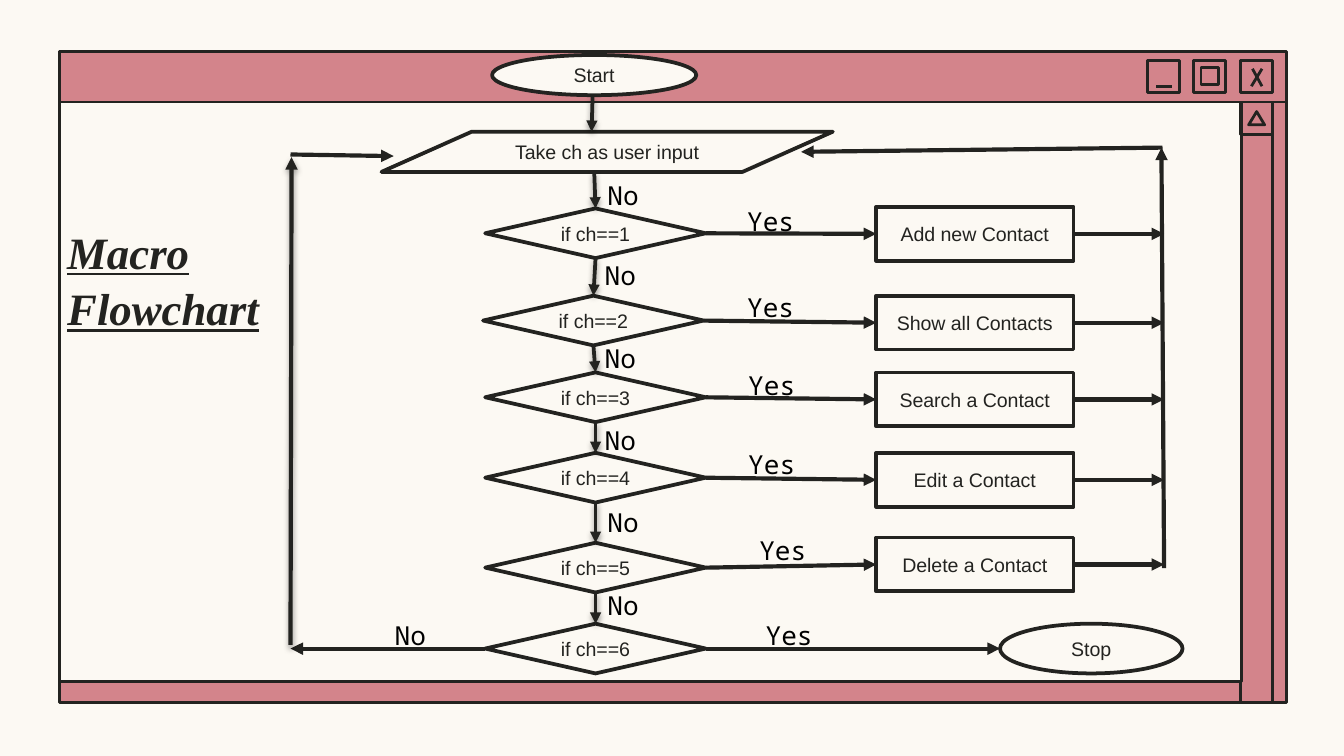
from lxml import etree
from pptx import Presentation
from pptx.dml.color import RGBColor
from pptx.enum.shapes import MSO_CONNECTOR, MSO_SHAPE
from pptx.enum.text import MSO_ANCHOR, MSO_AUTO_SIZE, PP_ALIGN
from pptx.oxml.ns import qn
from pptx.util import Cm, Pt

COLORS = {"paper": "FCF9F3", "rose": "D3848B", "ink": "232320", "black": "000000"}
TOP, LEFT, BOTTOM, RIGHT = range(4)


def color(name):
    return RGBColor.from_string(COLORS[name])


class FlowchartSlide:
    """Holds the current slide and draws its elements, with lengths in cm."""

    def __init__(self, slide):
        self.slide = slide
        self.shapes = slide.shapes
        slide.background.fill.solid()
        slide.background.fill.fore_color.rgb = color("paper")

    def styled_run(self, paragraph, text, size, font, ink="ink"):
        run = paragraph.add_run()
        run.text = text
        run.font.size = Pt(size)
        run.font.name = font
        run.font.color.rgb = color(ink)
        return run

    def box(self, preset, x, y, w, h, fill=None, line=1.5):
        shape = self.shapes.add_shape(preset, Cm(x), Cm(y), Cm(w), Cm(h))
        shape.shadow.inherit = False
        if fill:
            shape.fill.solid()
            shape.fill.fore_color.rgb = color(fill)
        else:
            shape.fill.background()
        shape.line.color.rgb = color("ink")
        shape.line.width = Pt(line)
        return shape

    def step(self, preset, x, y, w, h, text):
        shape = self.box(preset, x, y, w, h, "paper", 2)
        paragraph = shape.text_frame.paragraphs[0]
        paragraph.alignment = PP_ALIGN.CENTER
        self.styled_run(paragraph, text, 10.5, "Arial")
        return shape

    def line(self, start, end, width=2.25, arrow=True, shadow=False):
        """Each end is a point (x, y) or a joint (shape, side)."""
        joints = [not isinstance(place[0], (int, float)) for place in (start, end)]
        points = [
            (place[0].left, place[0].top) if joined else (Cm(place[0]), Cm(place[1]))
            for place, joined in zip((start, end), joints)
        ]
        connector = self.shapes.add_connector(MSO_CONNECTOR.STRAIGHT, *points[0], *points[1])
        if joints[0]:
            connector.begin_connect(*start)
        if joints[1]:
            connector.end_connect(*end)
        connector.line.color.rgb = color("ink")
        connector.line.width = Pt(width)
        if arrow:
            etree.SubElement(connector.get_or_add_ln(), qn("a:tailEnd"), type="triangle")
        effects = etree.SubElement(connector._element.spPr, qn("a:effectLst"))
        if shadow:
            outer = etree.SubElement(effects, qn("a:outerShdw"), blurRad="40000", dist="20000",
                                     dir="5400000", rotWithShape="0")
            black = etree.SubElement(outer, qn("a:srgbClr"), val=COLORS["black"])
            etree.SubElement(black, qn("a:alpha"), val="38000")

    def frame_text(self, shape):
        """Set up the text frame and return its first paragraph."""
        frame = shape.text_frame
        frame.word_wrap = True
        frame.vertical_anchor = MSO_ANCHOR.TOP
        frame.margin_left = frame.margin_right = Cm(0.25)
        frame.margin_top = frame.margin_bottom = Cm(0.25)
        frame.auto_size = MSO_AUTO_SIZE.SHAPE_TO_FIT_TEXT
        return frame.paragraphs[0]

    def label(self, text, x, y):
        answer = self.shapes.add_textbox(Cm(x), Cm(y), Cm(1.7), Cm(1.12))
        self.styled_run(self.frame_text(answer), text, 14, "Noto Sans Mono", "black")

    def title(self, text, x, y, w, h):
        heading = self.shapes.title
        heading.left, heading.top, heading.width, heading.height = map(Cm, (x, y, w, h))
        paragraph = self.frame_text(heading)
        paragraph.alignment = PP_ALIGN.LEFT
        paragraph.line_spacing = 1.05
        font = self.styled_run(paragraph, text, 24, "Times New Roman").font
        font.bold = font.italic = font.underline = True
        self.shapes._spTree.append(heading._element)  # bring in front of the window

    def window(self):
        bar = self.box(MSO_SHAPE.ROUND_2_SAME_RECTANGLE, 1.12, 0.97, 23.19, 0.97, "rose")
        bar.adjustments[0] = bar.adjustments[1] = 0
        self.box(MSO_SHAPE.RECTANGLE, 1.12, 1.93, 23.19, 11.35, "rose")
        self.box(MSO_SHAPE.RECTANGLE, 23.44, 2.54, 0.61, 10.74, "rose")
        self.box(MSO_SHAPE.RECTANGLE, 1.12, 1.93, 22.35, 10.95, "paper")
        for button in range(3):
            self.box(MSO_SHAPE.RECTANGLE, 23.44 - 0.88 * button, 1.14, 0.61, 0.61)
        self.box(MSO_SHAPE.RECTANGLE, 22.7, 1.27, 0.33, 0.33)
        for start, end in (
            ((23.67, 1.3), (23.85, 1.63)),
            ((23.85, 1.3), (23.65, 1.63)),
            ((22.15, 1.63), (21.84, 1.63)),
        ):
            self.line(start, end, 1.5, arrow=False)
        self.box(MSO_SHAPE.RECTANGLE, 23.44, 1.93, 0.61, 0.61)
        self.box(MSO_SHAPE.ISOSCELES_TRIANGLE, 23.6, 2.11, 0.3, 0.25)


def main():
    deck = Presentation()
    deck.slide_width, deck.slide_height = Cm(25.4), Cm(14.29)
    chart = FlowchartSlide(deck.slides.add_slide(deck.slide_layouts[5]))
    chart.window()

    chart.step(MSO_SHAPE.OVAL, 9.3, 1.04, 3.86, 0.76, "Start")
    chart.step(MSO_SHAPE.FLOWCHART_DATA, 7.21, 2.49, 8.53, 0.76, "Take ch as user input")
    decision_places = [(9.17, 3.94), (9.13, 5.59), (9.17, 7.04),
                       (9.17, 8.56), (9.17, 10.26), (9.17, 11.79)]
    decisions = [
        chart.step(MSO_SHAPE.FLOWCHART_DECISION, x, y, 4.17, 0.94, f"if ch=={choice}")
        for choice, (x, y) in enumerate(decision_places, 1)
    ]
    action_tops = {"Add new Contact": 3.91, "Show all Contacts": 5.59, "Search a Contact": 7.04,
                   "Edit a Contact": 8.56, "Delete a Contact": 10.16}
    actions = [
        chart.step(MSO_SHAPE.RECTANGLE, 16.56, y, 3.73, 1.02, text)
        for text, y in action_tops.items()
    ]
    chart.step(MSO_SHAPE.OVAL, 18.9, 11.79, 3.45, 0.94, "Stop")

    # Downward path
    chart.line((11.2, 1.83), (11.18, 2.49), 2, shadow=True)
    chart.line((11.23, 3.25), (decisions[0], TOP), 2, shadow=True)
    for decision, following in zip(decisions, decisions[1:]):
        chart.line((decision, BOTTOM), (following, TOP), 2, shadow=True)

    # Choices and their way back to the input
    for decision, action, top in zip(decisions, actions, action_tops.values()):
        chart.line((decision, RIGHT), (action, LEFT))
        chart.line((action, RIGHT), (22, top + 0.51))
    chart.line((decisions[-1], RIGHT), (18.9, 12.26))
    chart.line((22, 10.74), (21.95, 2.79))
    chart.line((21.97, 2.79), (15.14, 2.87))
    chart.line((decisions[-1], LEFT), (5.49, 12.26))
    chart.line((5.49, 12.19), (5.51, 2.97), shadow=True)
    chart.line((5.49, 2.92), (7.44, 2.95))

    answer_places = {
        "Yes": [(13.87, 3.63), (13.87, 5.26), (13.89, 6.73),
                (13.89, 8.23), (14.1, 9.86), (14.22, 11.46)],
        "No": [(11.23, 3.15), (11.18, 4.65), (11.18, 6.22), (11.18, 7.77),
               (11.23, 9.32), (11.23, 10.9), (7.21, 11.46)],
    }
    for answer, places in answer_places.items():
        for x, y in places:
            chart.label(answer, x, y)

    chart.title("Macro Flowchart", 1.02, 3.94, 5.87, 2.57)
    deck.save("out.pptx")


if __name__ == "__main__":
    main()
